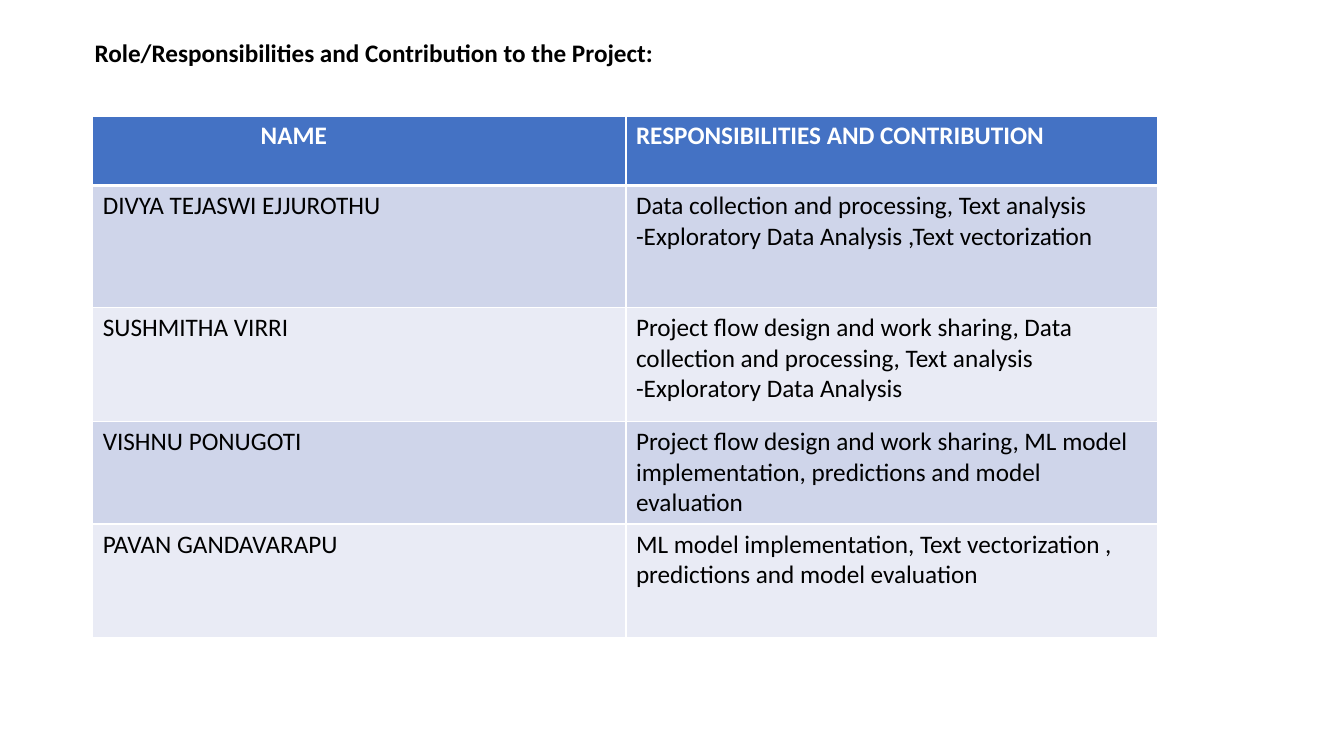
from dataclasses import dataclass

from lxml import etree
from pptx import Presentation
from pptx import util as u
from pptx.dml.color import RGBColor
from pptx.enum import text
from pptx.oxml import ns

GRID_COLUMNS, GRID_ROWS = 160, 90
FONT, FONT_SIZE = "Calibri", 18
WHITE, BLACK, HEADER_BLUE = "FFFFFF", "000000", "4472C4"
BANDS = ("CFD5EA", "E9EBF5")
TABLE_LEFT, TABLE_TOP = 11.04, 13.8
COLUMN_WIDTHS = (63.48, 63.24)
HEADER_HEIGHT = 8.28
HEADINGS = ("NAME", "RESPONSIBILITIES AND CONTRIBUTION")
NAME_INDENT = 20


@dataclass(frozen=True)
class Member:
    name: str
    contribution: str
    height: float


MEMBERS = (
    Member(
        "DIVYA TEJASWI EJJUROTHU",
        "Data collection and processing, Text analysis "
        "-Exploratory Data Analysis ,Text vectorization",
        14.52,
    ),
    Member(
        "SUSHMITHA VIRRI",
        "Project flow design and work sharing, Data collection and processing, "
        "Text analysis -Exploratory Data Analysis",
        13.56,
    ),
    Member(
        "VISHNU PONUGOTI",
        "Project flow design and work sharing, ML model implementation, "
        "predictions and model evaluation",
        12.24,
    ),
    Member(
        "PAVAN GANDAVARAPU",
        "ML model implementation, Text vectorization , "
        "predictions and model evaluation",
        13.56,
    ),
)


def color(value: str) -> RGBColor:
    return RGBColor.from_string(value)


def across(columns: float) -> int:
    return u.Inches(13.33 * columns / GRID_COLUMNS)


def down(rows: float) -> int:
    return u.Inches(7.5 * rows / GRID_ROWS)


def style_text(frame, ink: str, bold: bool) -> None:
    paragraph = frame.paragraphs[0]
    paragraph.alignment = text.PP_ALIGN.LEFT
    font = paragraph.font
    font.name, font.size, font.bold = FONT, u.Pt(FONT_SIZE), bold
    font.color.rgb = color(ink)


def add_borders(cell, top: float, bottom: float) -> None:
    properties = cell._tc.get_or_add_tcPr()
    sides = {"lnL": 1, "lnR": 1, "lnT": top, "lnB": bottom}
    for position, (side, points) in enumerate(sides.items()):
        line = etree.Element(ns.qn(f"a:{side}"), w=str(u.Pt(points)))
        fill = etree.SubElement(line, ns.qn("a:solidFill"))
        etree.SubElement(fill, ns.qn("a:srgbClr"), val=WHITE)
        properties.insert(position, line)


def fill_row(table, index: int, words: tuple[str, str], height: float) -> None:
    header = index == 0
    table.rows[index].height = down(height)
    for cell, wording in zip(table.rows[index].cells, words):
        cell.text = wording
        style_text(cell.text_frame, WHITE if header else BLACK, header)
        cell.fill.solid()
        cell.fill.fore_color.rgb = color(
            HEADER_BLUE if header else BANDS[(index - 1) % len(BANDS)]
        )
        add_borders(cell, 3 if index == 1 else 1, 3 if header else 1)


def add_title(slide) -> None:
    title = slide.shapes.title
    title.left, title.top = across(8.76), down(3.84)
    title.width, title.height = across(124.56), down(12.12)
    frame = title.text_frame
    frame.text = "Role/Responsibilities and Contribution to the Project:"
    frame.word_wrap = True
    frame.auto_size = text.MSO_AUTO_SIZE.NONE
    frame.vertical_anchor = text.MSO_ANCHOR.TOP
    frame.margin_left = across(2.5)
    style_text(frame, BLACK, True)


def add_responsibilities(slide) -> None:
    heights = [HEADER_HEIGHT, *(member.height for member in MEMBERS)]
    table = slide.shapes.add_table(
        len(heights), len(HEADINGS), across(TABLE_LEFT), down(TABLE_TOP),
        across(sum(COLUMN_WIDTHS)), down(sum(heights)),
    ).table
    for column, width in zip(table.columns, COLUMN_WIDTHS):
        column.width = across(width)
    rows = [HEADINGS, *((member.name, member.contribution) for member in MEMBERS)]
    for index, (words, height) in enumerate(zip(rows, heights)):
        fill_row(table, index, words, height)
    table.cell(0, 0).margin_left = across(NAME_INDENT)


def main() -> None:
    deck = Presentation()
    deck.slide_width, deck.slide_height = across(GRID_COLUMNS), down(GRID_ROWS)
    slide = deck.slides.add_slide(deck.slide_layouts.get_by_name("Title Only"))
    add_title(slide)
    add_responsibilities(slide)
    deck.save("out.pptx")


if __name__ == "__main__":
    main()
